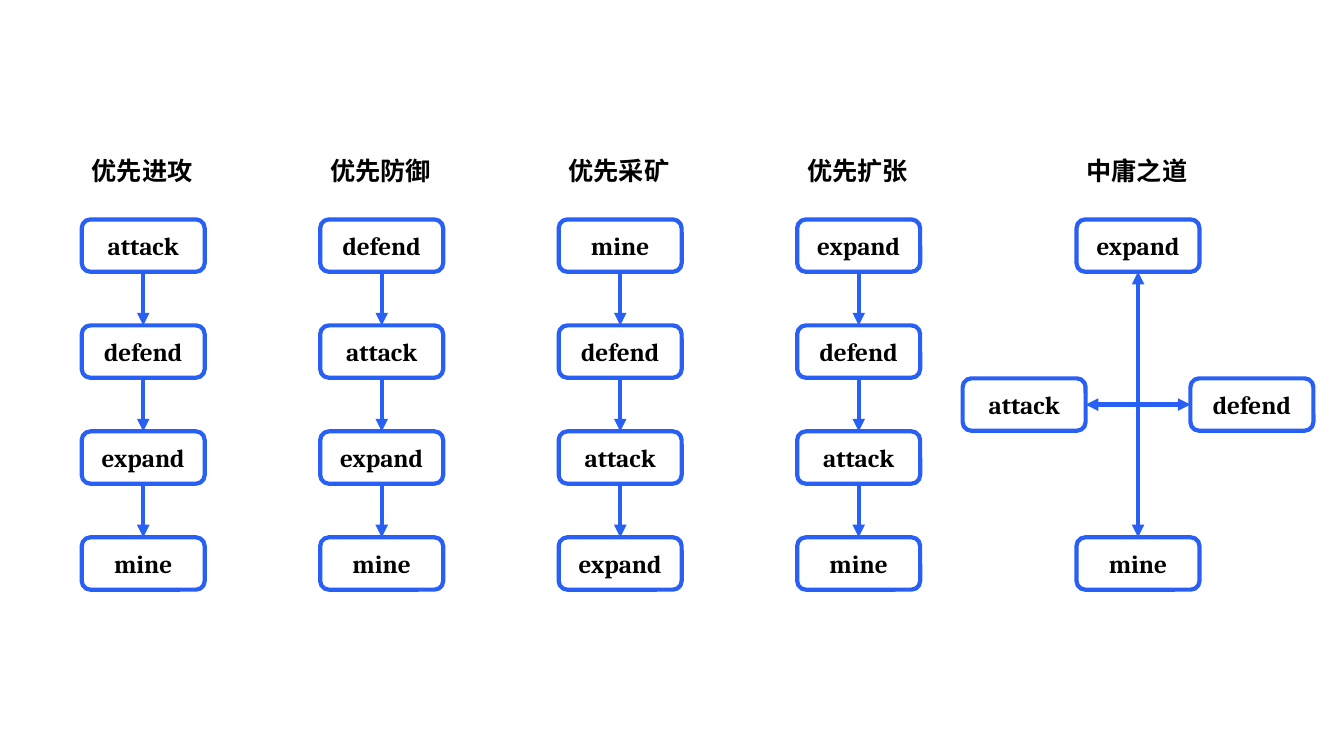
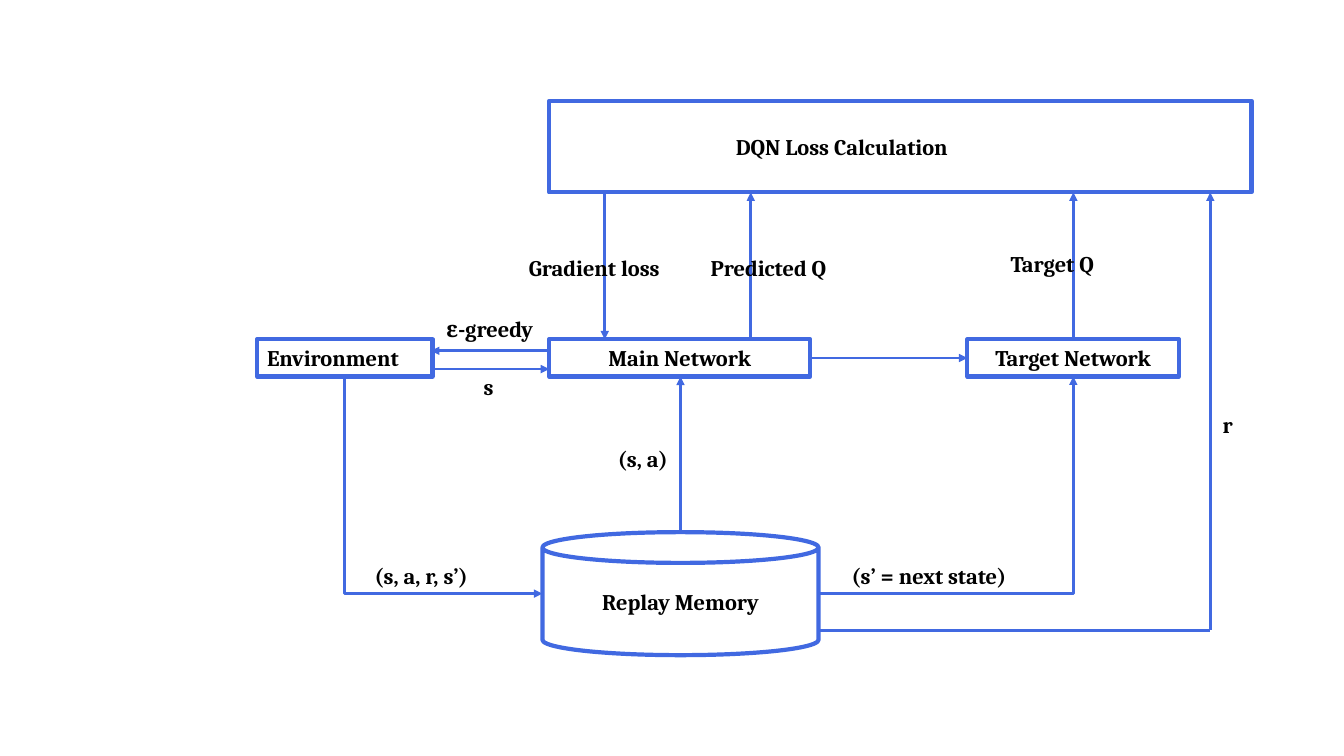
from dataclasses import dataclass

from lxml.etree import SubElement
from pptx import Presentation
from pptx.dml.color import RGBColor
from pptx.enum.shapes import MSO_CONNECTOR as Link, MSO_SHAPE as Preset
from pptx.enum.text import MSO_ANCHOR as Anchor, PP_ALIGN as Align
from pptx.oxml.ns import qn
from pptx.util import Cm, Pt


@dataclass(frozen=True)
class Theme:
    ink: RGBColor = RGBColor(0x00, 0x00, 0x00)
    paper: RGBColor = RGBColor(0xFF, 0xFF, 0xFF)
    bright_blue: RGBColor = RGBColor(0x28, 0x5F, 0xF5)
    royal_blue: RGBColor = RGBColor(0x41, 0x69, 0xE1)
    latin: str = "Cambria"
    chinese: str = "Noto Sans CJK SC"
    strategy_size: Pt = Pt(18)
    network_size: Pt = Pt(16)
    thick: Pt = Pt(3)
    thin: Pt = Pt(2)


THEME = Theme()

# Connection sites of rectangles, and of the cylinder
TOP, LEFT, BOTTOM, RIGHT = range(4)
CAN_LEFT, CAN_RIGHT = 2, 4


# Text
def write(shape, text, size, font, align):
    frame = shape.text_frame
    frame.word_wrap = True
    para = frame.paragraphs[0]
    para.alignment = align
    span = para.add_run()
    span.text = text
    span.font.size = size
    span.font.bold = True
    span.font.color.rgb = THEME.ink
    span.font.name = font
    SubElement(span.font._element, qn("a:ea"), typeface=font)


def add_label(page, text, left, top, width, height=0.94,
              size=THEME.network_size, font=THEME.latin):
    label = page.shapes.add_textbox(Cm(left), Cm(top), Cm(width), Cm(height))
    write(label, text, size, font, Align.LEFT)


# Outlined shapes with text
def add_box(page, preset, text, left, top, width, height, color, size,
            fill=None, align=Align.CENTER):
    box = page.shapes.add_shape(preset, Cm(left), Cm(top), Cm(width), Cm(height))
    box.shadow.inherit = False
    if fill is None:
        box.fill.background()
    else:
        box.fill.solid()
        box.fill.fore_color.rgb = fill
    box.line.color.rgb = color
    box.line.width = THEME.thick
    box.text_frame.vertical_anchor = Anchor.MIDDLE
    write(box, text, size, THEME.latin, align)
    return box


def add_action(page, text, left, top):
    return add_box(page, Preset.ROUNDED_RECTANGLE, text, left, top, BOX_WIDTH,
                   BOX_HEIGHT, THEME.bright_blue, THEME.strategy_size)


def add_part(page, text, left, top, width, height=0.94,
             preset=Preset.RECTANGLE, align=Align.CENTER):
    return add_box(page, preset, text, left, top, width, height,
                   THEME.royal_blue, THEME.network_size, THEME.paper, align)


# Lines and arrows
def add_line(page, start, end, color=THEME.royal_blue, width=THEME.thin,
             heads=("tailEnd",), kind=Link.STRAIGHT):
    points = [Cm(value) for value in (*start, *end)]
    line = page.shapes.add_connector(kind, *points)
    line.line.color.rgb = color
    line.line.width = width
    outline = line.line._get_or_add_ln()
    for head in heads:
        SubElement(outline, qn(f"a:{head}"), type="triangle")
    SubElement(line.element.spPr, qn("a:effectLst"))
    return line


def join_actions(page, first, first_site, second, second_site,
                 heads=("tailEnd",)):
    line = add_line(page, (0, 0), (1, 1), THEME.bright_blue, THEME.thick, heads)
    line.begin_connect(first, first_site)
    line.end_connect(second, second_site)


def add_elbow(page, start, end, first, first_site, second, second_site, head):
    """Run sideways from the first shape, then turn once to the second."""
    line = add_line(page, start, end, heads=(head,), kind=Link.ELBOW)
    line.element.spPr.find(qn("a:prstGeom")).set("prst", "bentConnector2")
    ends = line.element.find(qn("p:nvCxnSpPr")).find(qn("p:cNvCxnSpPr"))
    for tag, shape, site in (("stCxn", first, first_site),
                             ("endCxn", second, second_site)):
        SubElement(ends, qn(f"a:{tag}"), id=str(shape.shape_id), idx=str(site))


# Slide 1: strategies
BOX_WIDTH, BOX_HEIGHT = 3.1, 1.32
COLUMN_LEFT, COLUMN_STEP = 2.06, 6.01
ROW_TOP, ROW_STEP = 5.53, 2.67
COMPASS_LEFT = 27.13
CHAINS = [
    ("优先进攻", ["attack", "defend", "expand", "mine"]),
    ("优先防御", ["defend", "attack", "expand", "mine"]),
    ("优先采矿", ["mine", "defend", "attack", "expand"]),
    ("优先扩张", ["expand", "defend", "attack", "mine"]),
]


def add_heading(page, text, left):
    add_label(page, text, left, 3.78, 4, 1.02, THEME.strategy_size, THEME.chinese)


def add_chain(page, heading, actions, left):
    add_heading(page, heading, left)
    boxes = [add_action(page, action, left, ROW_TOP + row * ROW_STEP)
             for row, action in enumerate(actions)]
    for upper, lower in zip(boxes, boxes[1:]):
        join_actions(page, upper, BOTTOM, lower, TOP)


def add_compass(page):
    add_heading(page, "中庸之道", COMPASS_LEFT)
    middle = ROW_TOP + 1.5 * ROW_STEP
    expand = add_action(page, "expand", COMPASS_LEFT, ROW_TOP)
    mine = add_action(page, "mine", COMPASS_LEFT, ROW_TOP + 3 * ROW_STEP)
    defend = add_action(page, "defend", 30, middle)
    attack = add_action(page, "attack", 24.26, middle)
    both = ("headEnd", "tailEnd")
    join_actions(page, expand, BOTTOM, mine, TOP, both)
    join_actions(page, attack, RIGHT, defend, LEFT, both)


def build_strategies(page):
    for column, (heading, actions) in enumerate(CHAINS):
        add_chain(page, heading, actions, COLUMN_LEFT + column * COLUMN_STEP)
    add_compass(page)


# Slide 2: DQN training loop
def build_network(page):
    loss_bottom, network_top, network_bottom = 4.85, 8.55, 9.49
    memory_top, memory_middle, reward_y = 13.41, 14.96, 15.88
    target_x, reward_x = 27.05, 30.5

    # Arrows between the networks and the loss
    for x in (target_x, 18.92):
        add_line(page, (x, network_top), (x, loss_bottom))
    add_line(page, (15.24, loss_bottom), (15.24, network_top))

    # Parts
    loss = add_part(page, "DQN Loss Calculation", 13.84, 2.54, 17.7, 2.31)
    loss.text_frame.margin_right = Cm(3.2)
    target = add_part(page, "Target Network", 24.38, network_top, 5.33)
    add_part(page, "Main Network", 13.84, network_top, 6.58)
    environment = add_part(page, "Environment", 6.48, network_top, 4.42,
                           align=Align.LEFT)
    memory = add_part(page, "Replay Memory", 13.67, memory_top, 6.96, 3.1,
                      preset=Preset.CAN)

    # Flows
    add_line(page, (17.15, memory_top), (17.15, network_bottom))
    add_line(page, (13.84, 8.84), (10.86, 8.84))
    add_line(page, (10.9, 9.3), (13.84, 9.3))
    add_line(page, (20.42, 9.02), (24.38, 9.02))
    add_line(page, (20.65, reward_y), (reward_x, reward_y), heads=())
    add_line(page, (reward_x, reward_y), (reward_x, loss_bottom))
    add_elbow(page, (20.63, memory_middle), (target_x, network_bottom),
              memory, CAN_RIGHT, target, BOTTOM, "tailEnd")
    add_elbow(page, (13.67, memory_middle), (8.69, network_bottom),
              memory, CAN_LEFT, environment, BOTTOM, "headEnd")

    # Labels
    for text, left, top, width in (
        ("s", 11.94, 9.27, 0.9),
        ("ε-greedy", 11, 7.82, 6),
        ("Gradient loss", 13.08, 6.28, 4.78),
        ("Predicted Q", 17.66, 6.28, 4.6),
        ("Target Q", 25.22, 6.17, 3.53),
        ("(s, a)", 15.32, 11.08, 2.34),
        ("(s, a, r, s’)", 9.19, 14.03, 4.65),
        ("r", 30.56, 10.23, 0.94),
        ("(s’ = next state)", 21.21, 14.03, 5.74),
    ):
        add_label(page, text, left, top, width)


def main():
    deck = Presentation()
    deck.slide_width, deck.slide_height = Cm(33.87), Cm(19.05)
    blank = deck.slide_layouts[6]
    for build in (build_strategies, build_network):
        build(deck.slides.add_slide(blank))
    deck.save("out.pptx")


main()
